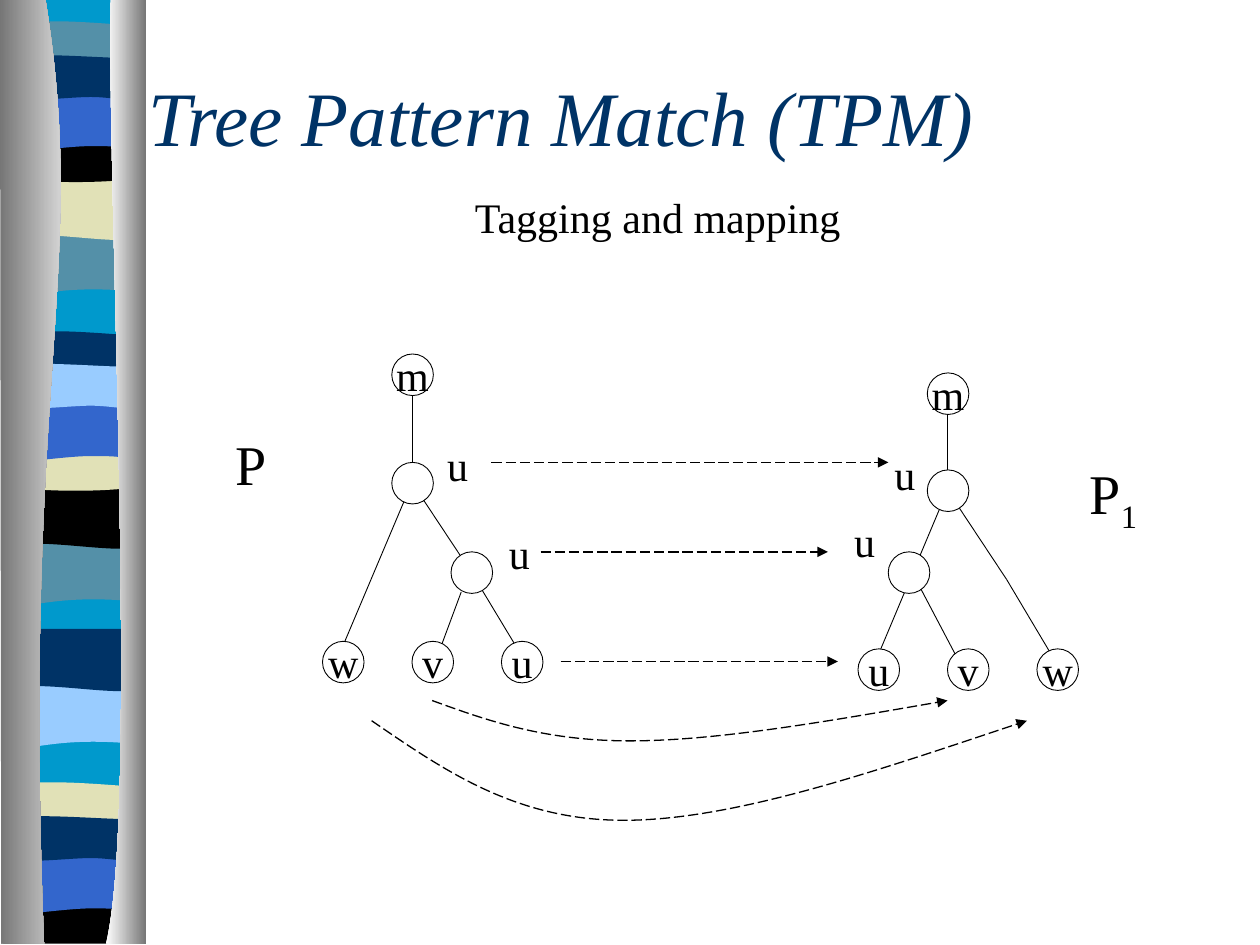
import pptx
import pptx.dml.color
import pptx.enum.dml
import pptx.enum.shapes
import pptx.enum.text
import pptx.oxml
import pptx.util
from pptx.oxml import ns

RGB = pptx.dml.color.RGBColor
BLACK = RGB(0x00, 0x00, 0x00)
WHITE = RGB(0xFF, 0xFF, 0xFF)
GREY = RGB(0x76, 0x76, 0x76)
NAVY = RGB(0x00, 0x33, 0x66)
BLUE = RGB(0x33, 0x66, 0xCC)
SKY = RGB(0x99, 0xCC, 0xFF)
CYAN = RGB(0x00, 0x99, 0xCC)
TEAL = RGB(0x54, 0x90, 0xA8)
CREAM = RGB(0xE1, 0xE1, 0xB7)

FONT = "Times New Roman"
NODE = 0.33
LEFT, RIGHT = 0.06, 1.14
TOP, BOTTOM = -0.01, 7.49

# Outlines of the kinds of band, from the top right corner at height 0.
# A step of one point is a line, a step of three is a Bezier curve.
WAVES = {
    "plain": [[(RIGHT, 7.48)], [(LEFT, 7.48)], [(LEFT, 0)]],
    "swell": [[(RIGHT, 0.47)], [(0.39, 0.39), (0.24, 0.55), (LEFT, 0.47)], [(LEFT, 0)]],
    "dip": [[(RIGHT, 0.47)], [(0.96, 0.55), (0.39, 0.41), (LEFT, 0.47)], [(LEFT, 0)]],
    "thin": [[(RIGHT, 0.24)], [(0.96, 0.28), (0.24, 0.28), (LEFT, 0.24)], [(LEFT, 0)],
             [(0.12, -0.05), (0.29, -0.04), (0.47, -0.04)],
             [(0.65, -0.04), (1, -0.01), (RIGHT, 0)]],
    "bowl": [[(RIGHT, 0.32)], [(0.96, 0.38), (0.24, 0.38), (LEFT, 0.32)], [(LEFT, 0)],
             [(0.72, 0.05), (0.91, 0), (RIGHT, 0)]],
    "foot": [[(RIGHT, 0.37)], [(LEFT, 0.37)], [(LEFT, 0)],
             [(0.72, 0.05), (0.91, 0), (RIGHT, 0)]],
    "arch": [[(RIGHT, 0.47)], [(0.97, 0.42), (0.9, 0.42), (0.72, 0.42)],
             [(0.54, 0.42), (0.22, 0.47), (LEFT, 0.47)], [(LEFT, 0)]],
    "ripple": [[(RIGHT, 0.31)], [(1.07, 0.36), (0.9, 0.31), (0.72, 0.31)],
               [(0.54, 0.31), (0.17, 0.36), (LEFT, 0.31)], [(LEFT, 0)],
               [(0.21, -0.05), (0.79, 0), (0.97, 0)], [(1.15, 0), (1.1, 0), (RIGHT, 0)]],
}
BANDS = [
    ("plain", TOP, CYAN),
    ("swell", 1.85, TEAL), ("dip", 1.41, CREAM), ("thin", 0.21, TEAL),
    ("bowl", 1.08, BLACK), ("arch", 0.74, BLUE), ("ripple", 0.46, NAVY),
    ("swell", 4.31, TEAL), ("dip", 3.86, BLACK), ("thin", 2.67, NAVY),
    ("bowl", 3.53, CREAM), ("arch", 3.2, BLUE), ("ripple", 2.91, SKY),
    ("swell", 5.44, SKY), ("dip", 4.99, NAVY), ("thin", 6.25, CREAM),
    ("foot", 7.12, BLACK), ("arch", 6.79, BLUE), ("ripple", 6.5, NAVY),
]

# Each tree: its edges (from, to), then its nodes (left, top, label).
LEFT_TREE = (
    [((3.27, 3.04), (3.27, 3.83)), ((3.27, 3.83), (3.74, 4.54)),
     ((3.27, 3.83), (2.64, 5.32)), ((3.66, 4.7), (3.43, 5.32)),
     ((3.74, 4.54), (4.21, 5.32))],
    [(3.11, 2.81, "m"), (3.11, 3.67, ""), (3.27, 5.09, "v"),
     (2.56, 5.09, "w"), (3.98, 5.09, "u"), (3.58, 4.38, "")])
RIGHT_TREE = (
    [((7.52, 3.2), (7.52, 3.99)), ((7.52, 3.89), (7.99, 4.6)),
     ((7.52, 3.89), (6.89, 5.39)), ((7.28, 4.62), (7.68, 5.38)),
     ((7.99, 4.6), (8.46, 5.39))],
    [(7.36, 2.96, "m"), (7.36, 3.73, ""), (7.52, 5.15, "v"),
     (6.81, 5.15, "u"), (8.23, 5.15, "w"), (7.05, 4.38, "")])
TAGS = [(3.94, 4.14), (3.45, 3.44), (6.68, 4.04), (7, 3.51)]
MAPPINGS = [((3.9, 3.67), (7.05, 3.67)), ((4.29, 4.38), (6.57, 4.38)),
            ((4.45, 5.25), (6.65, 5.25))]
CURVED_MAPPINGS = [
    ((3.43, 5.56), [[(3.87, 5.72), (4.32, 5.88), (5, 5.88)],
                    [(5.68, 5.88), (6.6, 5.72), (7.52, 5.56)]]),
    ((2.95, 5.72), [[(3.52, 6.11), (4.09, 6.51), (4.95, 6.51)],
                    [(5.82, 6.51), (6.98, 6.11), (8.15, 5.72)]]),
]


def grid(*values):
    """Turn grid units of 2.54 cm into lengths."""
    return [pptx.util.Cm(2.54 * v) for v in values]


def add_outline(s, start, steps, close=True):
    """Add a freeform, joining the three points of each curved step."""
    builder = s.shapes.build_freeform(*grid(*start))
    builder.add_line_segments([grid(*p) for step in steps for p in step], close=close)
    sp = builder.convert_to_shape()
    sp.shadow.inherit = False
    segments = iter(list(sp._element.iter(ns.qn("a:lnTo"))))
    for step in steps:
        lines = [next(segments) for _ in step]
        if len(lines) == 3:
            curve = pptx.oxml.parse_xml(f'<a:cubicBezTo {ns.nsdecls("a")}/>')
            lines[0].addprevious(curve)
            for line in lines:
                curve.append(line[0])
                line.getparent().remove(line)
    return sp


def add_area(s, start, steps, *colors):
    """Add a filled outline; two colours make a gradient from left to right."""
    sp = add_outline(s, start, steps)
    sp.line.fill.background()
    if len(colors) == 1:
        sp.fill.solid()
        sp.fill.fore_color.rgb = colors[0]
        return sp
    sp.fill.gradient()
    sp.fill.gradient_angle = 0
    for stop, color, position in zip(sp.fill.gradient_stops, colors, (0, 1)):
        stop.color.rgb = color
        stop.position = position
    return sp


def style_line(sp, width, arrow=False):
    sp.line.color.rgb = BLACK
    sp.line.width = pptx.util.Pt(width)
    if arrow:
        sp.line.dash_style = pptx.enum.dml.MSO_LINE.LONG_DASH
        tail = pptx.oxml.parse_xml(f'<a:tailEnd {ns.nsdecls("a")} type="triangle"/>')
        sp.line._get_or_add_ln().append(tail)


def add_line(s, start, end, width=0.5, arrow=False):
    kind = pptx.enum.shapes.MSO_CONNECTOR.STRAIGHT
    c = s.shapes.add_connector(kind, *grid(*start, *end))
    style_line(c, width, arrow)
    c._element.spPr.append(pptx.oxml.parse_xml(f'<a:effectLst {ns.nsdecls("a")}/>'))
    return c


def add_curve(s, start, steps):
    sp = add_outline(s, start, steps, close=False)
    sp.fill.background()
    style_line(sp, 0.75, arrow=True)
    return sp


def write(p, text, size, color=BLACK, align="CENTER", italic=False):
    p.alignment = getattr(pptx.enum.text.PP_ALIGN, align)
    r = p.add_run()
    r.text = text
    r.font.color.rgb = color
    for name, value in {"name": FONT, "size": pptx.util.Pt(size), "italic": italic}.items():
        setattr(r.font, name, value)
    return r


def set_frame(tf, **settings):
    for name, value in settings.items():
        setattr(tf, name, value)


def add_node(s, x, y, label):
    sp = s.shapes.add_shape(pptx.enum.shapes.MSO_SHAPE.OVAL, *grid(x, y, NODE, NODE))
    sp.shadow.inherit = False
    sp.fill.solid()
    sp.fill.fore_color.rgb = WHITE
    style_line(sp, 0.5)
    if label:
        set_frame(sp.text_frame, word_wrap=False,
                  vertical_anchor=pptx.enum.text.MSO_ANCHOR.MIDDLE)
        write(sp.text_frame.paragraphs[0], label, 24)
    return sp


def add_tree(s, edges, nodes):
    return [add_line(s, *edge) for edge in edges] + [add_node(s, *node) for node in nodes]


def add_label(s, box, text, size, subscript="", wrap=False):
    sp = s.shapes.add_textbox(*grid(*box))
    tf = sp.text_frame
    set_frame(tf, word_wrap=wrap, auto_size=pptx.enum.text.MSO_AUTO_SIZE.SHAPE_TO_FIT_TEXT)
    write(tf.paragraphs[0], text, size)
    if subscript:
        write(tf.paragraphs[0], subscript, size).font._element.set("baseline", "-25000")
    return sp


def add_ribbon(s, master):
    """Draw the ribbon as one group and move it to the back of the master."""
    parts = [add_area(s, (RIGHT, y), [[(px, py + y) for px, py in step]
                                      for step in WAVES[wave]], color)
             for wave, y, color in BANDS]
    parts.append(add_area(s, (0.36, TOP), [[(0.71, 2.16), (0.17, 2.96), (0.35, BOTTOM)],
                                           [(0.01, BOTTOM)], [(0, TOP)]], GREY, WHITE))
    parts.append(add_area(s, (0.88, TOP), [[(0.84, 1.25), (1.11, 6.46), (0.84, BOTTOM)],
                                           [(1.16, BOTTOM)], [(1.16, 0)]], WHITE, GREY))
    group = s.shapes.add_group_shape(parts)._element
    for number, item in enumerate(group.iter(ns.qn("p:cNvPr")), 100):
        item.set("id", str(number))
    master.shapes._spTree.insert(2, group)


def set_title(s, text):
    title = s.shapes.title
    title.left, title.top, title.width, title.height = grid(1.08, 0.58, 8.67, 0.67)
    set_frame(title.text_frame, word_wrap=True,
              auto_size=pptx.enum.text.MSO_AUTO_SIZE.NONE,
              vertical_anchor=pptx.enum.text.MSO_ANCHOR.MIDDLE)
    write(title.text_frame.paragraphs[0], text, 44, NAVY, "LEFT", italic=True)


def main():
    prs = pptx.Presentation()
    prs.slide_width, prs.slide_height = grid(10, 7.5)
    s = prs.slides.add_slide(prs.slide_layouts[5])
    add_ribbon(s, prs.slide_master)
    set_title(s, "Tree Pattern Match (TPM)")
    s.shapes.add_group_shape(add_tree(s, *LEFT_TREE))
    add_label(s, (1.77, 3.36, 0.44, 0.64), "P", 32)
    add_tree(s, *RIGHT_TREE)
    add_label(s, (8.54, 3.59, 0.59, 0.71), "P", 32, subscript="1", wrap=True)
    add_label(s, (3.66, 1.47, 3.12, 0.5), "Tagging and mapping", 24)
    s.shapes.add_group_shape([add_label(s, (x, y, 0.36, 0.5), "u", 24) for x, y in TAGS])
    arrows = [add_line(s, *ends, 0.75, arrow=True) for ends in MAPPINGS]
    arrows += [add_curve(s, *curve) for curve in CURVED_MAPPINGS]
    s.shapes.add_group_shape(arrows)
    prs.save("out.pptx")


if __name__ == "__main__":
    main()
